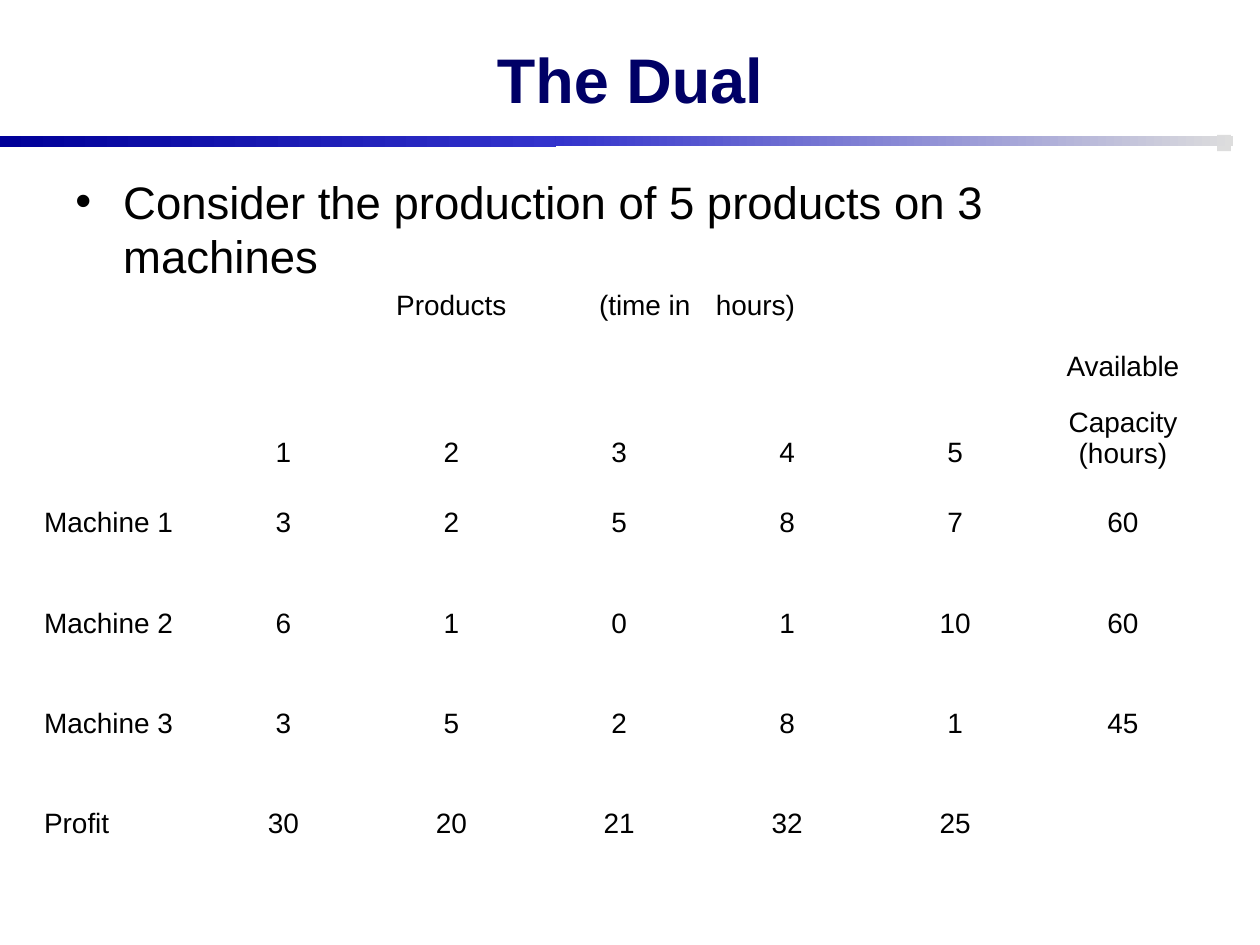
from lxml import etree
from pptx import Presentation
from pptx import util as u
from pptx.dml.color import RGBColor
from pptx.enum import shapes, text
from pptx.oxml.ns import qn

THEME = {
    "font": "Arial",
    "title": "000066", "ink": "000000",
    "navy": "000099", "blue": "3333CC", "grey": "DDDDDD",
    "title_size": 36, "body_size": 26, "cell_size": 16,
}
AL, ANCHOR = text.PP_ALIGN, text.MSO_ANCHOR

prs = Presentation()
prs.slide_width, prs.slide_height = u.Inches(10), u.Inches(7.5)
s = prs.slides.add_slide(prs.slide_layouts[5])


def box(x, y, w, h):
    return [u.Inches(v) for v in (x, y, w, h)]


def write(p, words, size, color, align=AL.LEFT, **extra):
    p.alignment = align
    r = p.add_run()
    r.text = words
    values = {"name": THEME["font"], "size": u.Pt(THEME[size]), **extra}
    for key, value in values.items():
        setattr(r.font, key, value)
    r.font.color.rgb = RGBColor.from_string(THEME[color])


# Rule under the title: a grey end block and two gradient bars
for x, y, w, h, start, end in [
    (9.66, 1.07, 0.11, 0.13, "grey", "grey"),
    (0, 1.08, 4.41, 0.09, "navy", "blue"),
    (4.41, 1.08, 5.38, 0.08, "blue", "grey"),
]:
    sp = s.shapes.add_shape(shapes.MSO_SHAPE.RECTANGLE, *box(x, y, w, h))
    sp.shadow.inherit = False
    sp.line.fill.background()
    if start == end:
        sp.fill.solid()
        sp.fill.fore_color.rgb = RGBColor.from_string(THEME[start])
        continue
    sp.fill.gradient()
    sp.fill.gradient_angle = 0
    for stop, name in zip(sp.fill.gradient_stops, (start, end)):
        stop.color.rgb = RGBColor.from_string(THEME[name])

# Title
sp = s.shapes.title
sp.left, sp.top, sp.width, sp.height = box(0.75, 0, 8.5, 1.25)
sp.text_frame.vertical_anchor = ANCHOR.MIDDLE
write(sp.text_frame.paragraphs[0], "The Dual", "title_size", "title", AL.CENTER, bold=True)

# Bulleted statement
tf = s.shapes.add_textbox(*box(0.5, 1.33, 9, 0.92)).text_frame
tf.word_wrap = True
p = tf.paragraphs[0]
pPr = p._p.get_or_add_pPr()
pPr.set("marL", str(u.Inches(0.38)))
pPr.set("indent", str(-u.Inches(0.38)))
etree.SubElement(pPr, qn("a:buFont"), typeface=THEME["font"])
etree.SubElement(pPr, qn("a:buChar"), char="•")
write(p, "Consider the production of 5 products on 3 machines", "body_size", "ink")

# Production table
rows = [
    ["", "", "Products", "(time in", "hours)", "", "Available"],
    ["", "1", "2", "3", "4", "5", "Capacity (hours)"],
    ["Machine 1", "3", "2", "5", "8", "7", "60"],
    ["Machine 2", "6", "1", "0", "1", "10", "60"],
    ["Machine 3", "3", "5", "2", "8", "1", "45"],
    ["Profit", "30", "20", "21", "32", "25", ""],
]
width, height, first, last = 9.33, 4.59, 0.93, 0.47
middle = (height - first - last) / 4
aligns = {(0, 3): AL.RIGHT, (0, 4): AL.JUSTIFY}
tops = {(0, 6): 0.54, **{(1, col): 0.29 for col in range(1, 6)}}

table = s.shapes.add_table(len(rows), len(rows[0]), *box(0.25, 2.25, width, height)).table
table.first_row = table.horz_banding = False
for col in table.columns:
    col.width = u.Inches(width / len(rows[0]))
for row, h in zip(table.rows, [first] + [middle] * 4 + [last]):
    row.height = u.Inches(h)
for i, row in enumerate(rows):
    for j, words in enumerate(row):
        cell = table.cell(i, j)
        cell.fill.background()
        cell.margin_top = u.Inches(tops.get((i, j), 0.05))
        if words:
            align = aligns.get((i, j), AL.CENTER if j else AL.LEFT)
            write(cell.text_frame.paragraphs[0], words, "cell_size", "ink", align)

prs.save("out.pptx")
